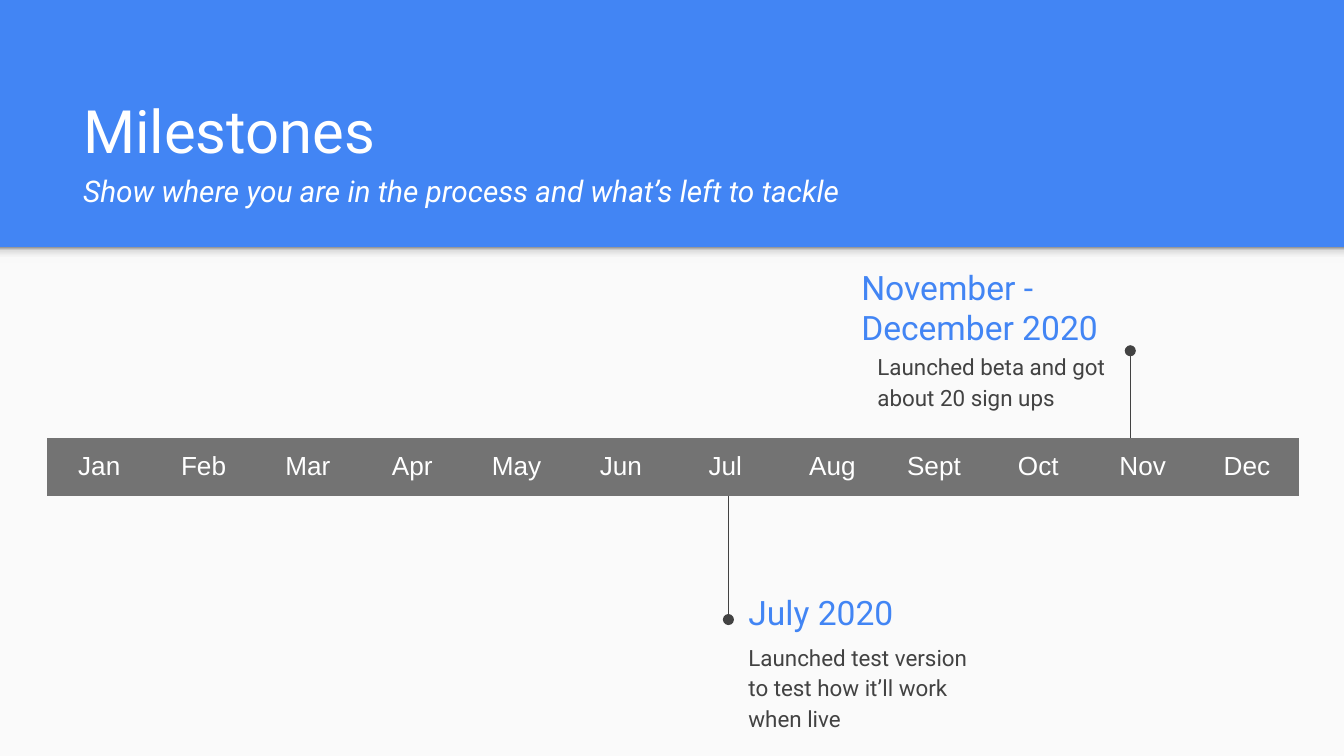
from copy import deepcopy

from pptx import Presentation
from pptx.dml.color import RGBColor
from pptx.enum import shapes, text
from pptx.oxml import ns, xmlchemy
from pptx.util import Inches, Pt

COLORS = {
    "blue": "4285F4",
    "white": "FFFFFF",
    "panel": "FAFAFA",
    "ink": "424242",
    "bar": "737373",
}
SHADE = [(0, "F9F9F9"), (0.36, "F9F9F9"), (0.8, "DEDEDE"), (1, "999999")]
MONTHS = ["Jan", "Feb", "Mar", "Apr", "May", "Jun",
          "Jul", " Aug", "Sept", "Oct", "Nov", "Dec"]
PLAIN = "{2D5ABB26-0587-4C30-8999-92F81FD0307C}"


def rgb(name):
    return RGBColor.from_string(COLORS[name])


def style(para, size, color, face="Roboto"):
    para.font.size = Pt(size)
    para.font.name = face
    para.font.color.rgb = rgb(color)


def add_text(slide, box, words, size, color, anchor):
    frame = slide.shapes.add_textbox(*map(Inches, box)).text_frame
    frame.word_wrap = True
    frame.vertical_anchor = anchor
    frame.margin_left = frame.margin_right = Inches(0.1)
    frame.margin_top = frame.margin_bottom = Inches(0.1)
    para = frame.paragraphs[0]
    para.text = words
    style(para, size, color)
    return frame


def add_rect(slide, box):
    rect = slide.shapes.add_shape(
        shapes.MSO_SHAPE.RECTANGLE, *map(Inches, box))
    rect.shadow.inherit = False
    rect.line.fill.background()
    return rect


def add_panel(slide, box):
    left, top, width, height = box
    fill = add_rect(slide, box).fill
    fill.solid()
    fill.fore_color.rgb = rgb("panel")

    shade = add_rect(slide, (left, top, width, 0.12))
    shade.fill.gradient()
    shade.fill.gradient_angle = 90
    first = next(shade.element.iter(ns.qn("a:gs")))
    for _ in SHADE[2:]:
        first.addnext(deepcopy(first))
    for stop, (place, color) in zip(shade.fill.gradient_stops, SHADE):
        stop.color.rgb = RGBColor.from_string(color)
        stop.position = place


def add_header(slide, box):
    frame = add_text(slide, box, "Milestones", 32, "white",
                     text.MSO_ANCHOR.BOTTOM)
    para = frame.add_paragraph()
    para.text = "Show where you are in the process and what’s left to tackle"
    para.space_before = para.space_after = Pt(4)
    style(para, 16, "white")
    para.font.italic = True


def add_event(slide, box, date, note, shift, drop, stem):
    left, top, width, height = box
    x, start, end = stem
    line = slide.shapes.add_connector(
        shapes.MSO_CONNECTOR.STRAIGHT,
        *map(Inches, (left + x, top + start, left + x, top + end)))
    line.line.color.rgb = rgb("ink")
    line.line.width = Pt(0.75)
    pen = line.line._get_or_add_ln()
    pen.append(xmlchemy.OxmlElement("a:tailEnd"))
    pen[-1].set("type", "oval")
    line.element.spPr.append(xmlchemy.OxmlElement("a:effectLst"))

    add_text(slide, (left, top, width, 0.43), date, 18, "blue",
             text.MSO_ANCHOR.MIDDLE)
    frame = add_text(slide, (left + shift, top + drop, width, height - drop),
                     note, 12, "ink", text.MSO_ANCHOR.TOP)
    para = frame.paragraphs[0]
    para.line_spacing = 1.15
    para.space_after = Pt(16)


def add_months(slide, box):
    table = slide.shapes.add_table(
        1, len(MONTHS), *map(Inches, box)).table
    table._tbl.tblPr.find(ns.qn("a:tableStyleId")).text = PLAIN
    table.first_row = table.horz_banding = False
    for col, cell, month in zip(table.columns, table.rows[0].cells, MONTHS):
        col.width = Inches(box[2] / len(MONTHS))
        cell.fill.solid()
        cell.fill.fore_color.rgb = rgb("bar")
        cell.margin_left = cell.margin_right = Inches(0.1)
        cell.margin_top = cell.margin_bottom = Inches(0.1)
        para = cell.text_frame.paragraphs[0]
        para.text = month
        para.alignment = text.PP_ALIGN.CENTER
        style(para, 14, "white", "Arial")


def main():
    deck = Presentation()
    deck.slide_width = Inches(10)
    deck.slide_height = deck.slide_width * 9 // 16
    slide = deck.slides.add_slide(deck.slide_layouts[6])
    back = slide.background.fill
    back.solid()
    back.fore_color.rgb = rgb("blue")

    add_panel(slide, (0, 1.84, 10, 3.79))
    add_header(slide, (0.52, 0.81, 8.99, 0.84))
    add_event(slide, (5.47, 4.34, 1.98, 0.95), "July 2020",
              "Launched test version to test how it’ll work when live",
              0, 0.32, (-0.05, -0.65, 0.27))
    add_event(slide, (6.31, 2.07, 1.98, 1.06), "November - December 2020",
              "Launched beta and got about 20 sign ups",
              0.12, 0.43, (2.1, 1.46, 0.54))
    add_months(slide, (0.35, 3.26, 9.32, 0.42))
    deck.save("out.pptx")


if __name__ == "__main__":
    main()
